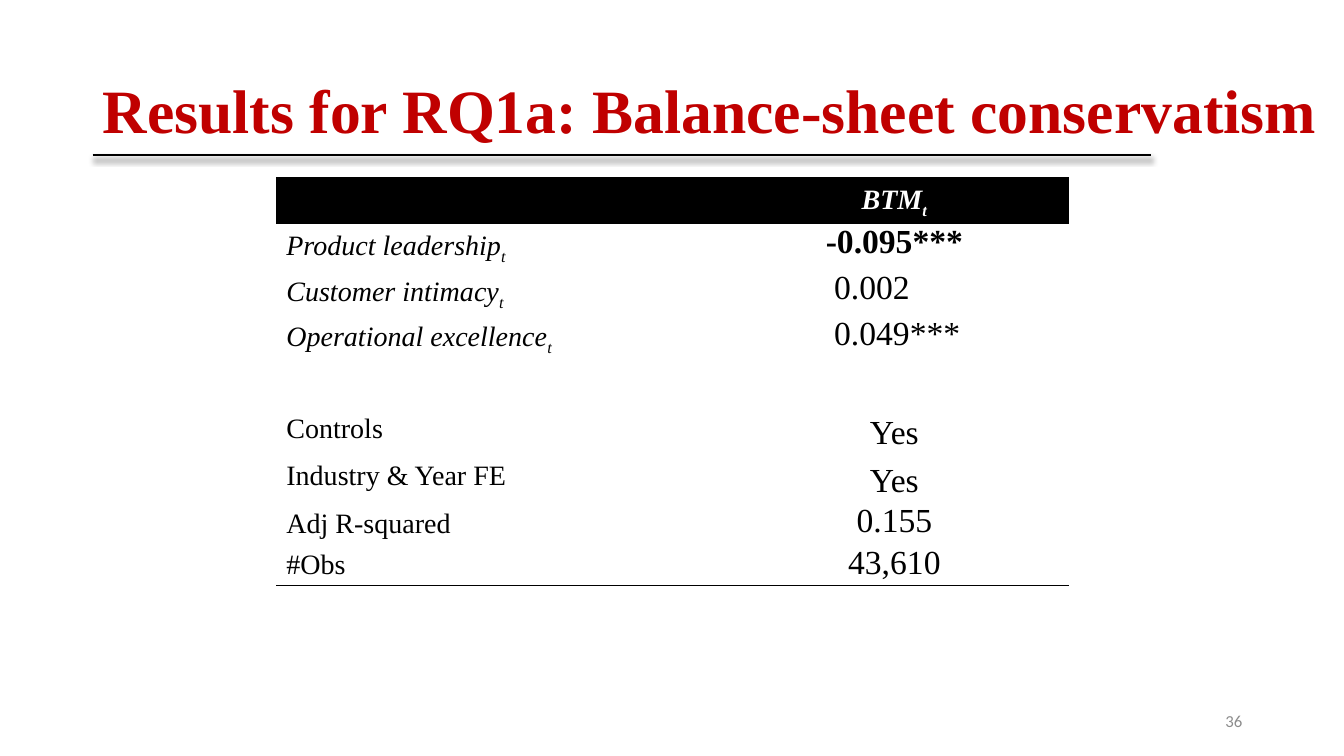
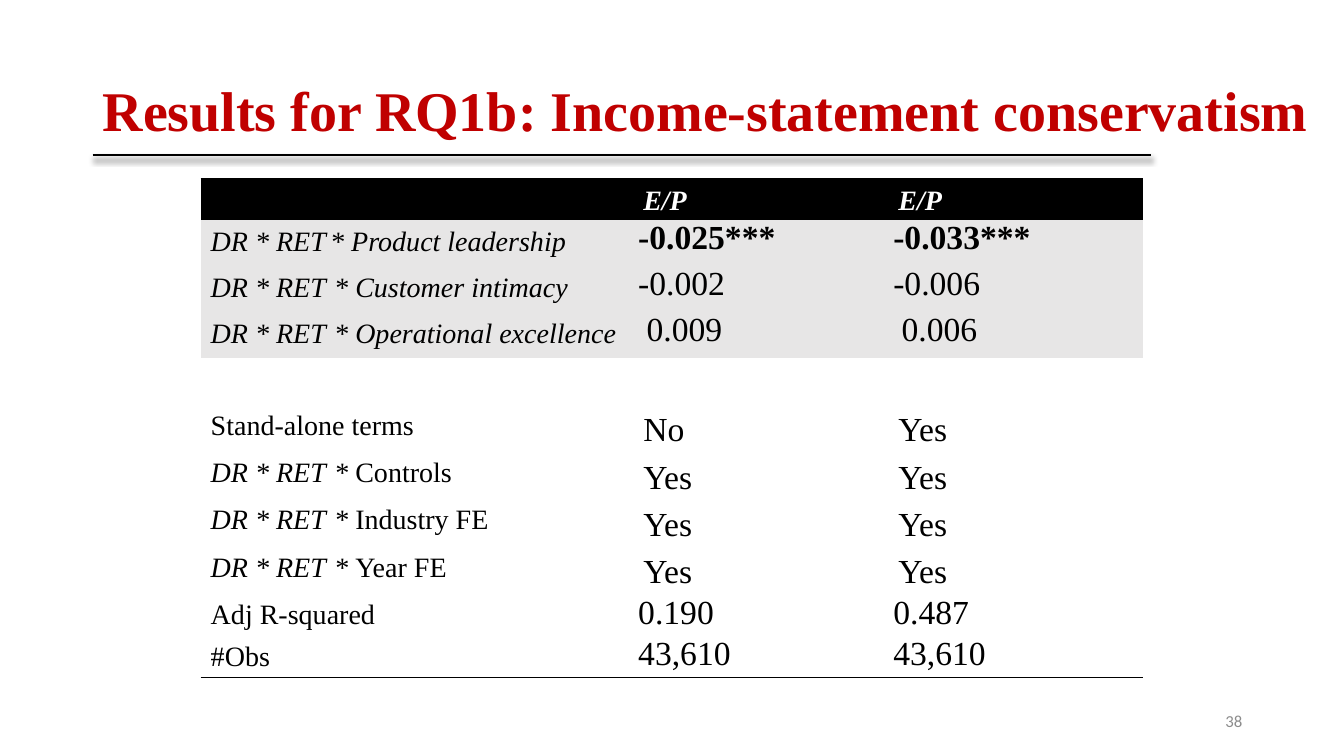
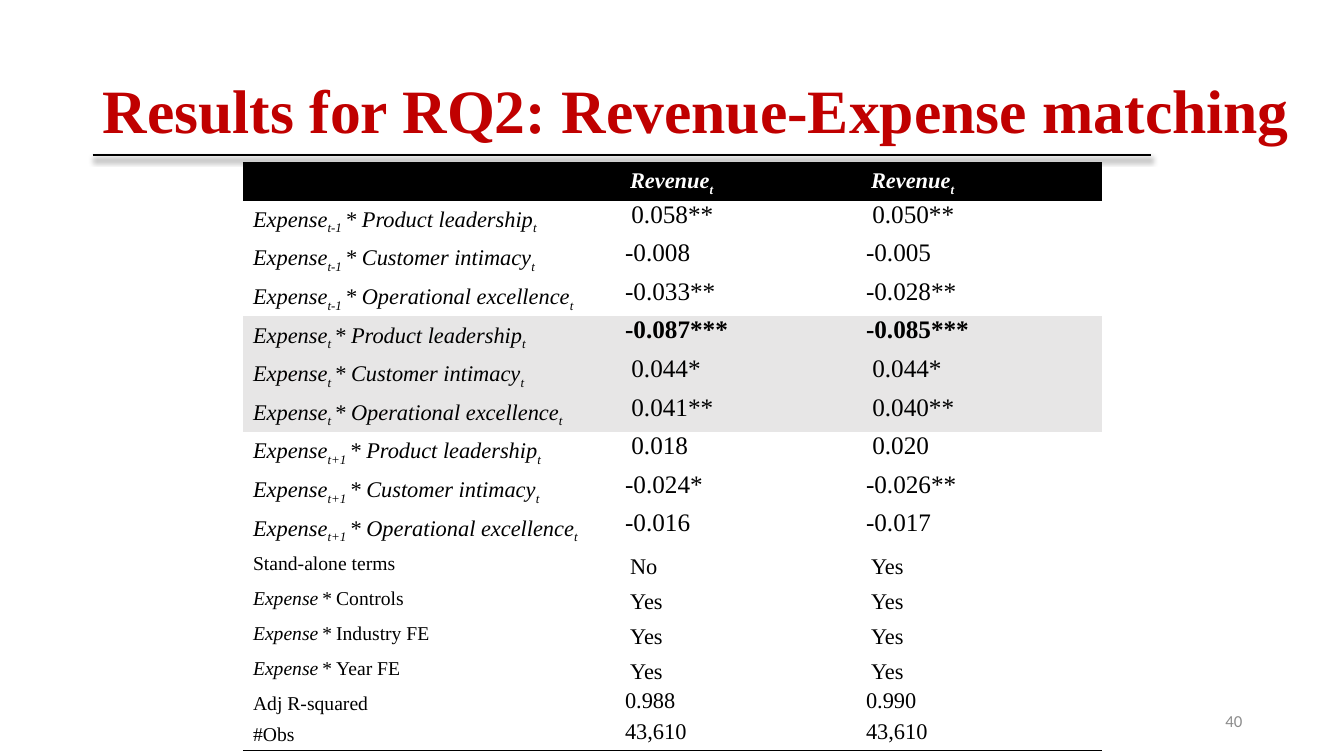
from itertools import product

from pptx import Presentation
from pptx.dml.color import RGBColor
from pptx.enum import shapes, text
from pptx.oxml import parse_xml
from pptx.oxml.ns import nsdecls, qn
from pptx.util import Inches, Pt

# ---- Shared look ----
COLORS = {"title": "C00000", "ink": "000000", "paper": "FFFFFF",
          "shade": "E7E6E6", "number": "8C8C8C"}
SERIF, SANS = "Times New Roman", "Calibri"
WIDTH, HEIGHT = 13.33, 7.5
MARGIN = 0.92
RULE_Y, RULE_END = 1.54, 11.42
CELL_BOTTOM = 0.02  # keeps every row at its set height
NO_TABLE_STYLE = "{2D5ABB26-0587-4C30-8999-92F81FD0307C}"
MIDDLE, TOP = text.MSO_ANCHOR.MIDDLE, text.MSO_ANCHOR.TOP
LEFT, CENTER, RIGHT = text.PP_ALIGN.LEFT, text.PP_ALIGN.CENTER, text.PP_ALIGN.RIGHT

# ---- Content: "_x_" is a subscript, text before "|" is italic ----
STRATEGIES = ["Product leadership", "Customer intimacy", "Operational excellence"]
EXPENSE_LABELS = [f"Expense_{period} _* {strategy}_t_"
                  for period, strategy in product(["t-1", "t", "t+1"], STRATEGIES)]
EXPENSE_VALUES = [(" 0.058**", " 0.050**"), ("-0.008", "-0.005"), ("-0.033**", "-0.028**"),
                  ("-0.087***", "-0.085***"), (" 0.044*", " 0.044*"), (" 0.041**", " 0.040**"),
                  (" 0.018", " 0.020"), ("-0.024*", "-0.026**"), ("-0.016", "-0.017")]

# Each group: kind, total height, label size, value size, rows
SLIDES = [
    {"title": "Results for RQ1a: Balance-sheet conservatism", "title_size": 44, "title_width": 12.26,
     "number": "36", "at": (2.74, 1.76), "columns": (4.4, 3.46), "shaded": (),
     "align": CENTER, "effect_indent": 1,
     "groups": [
         ("header", 0.46, 20, 20, [("", "BTM_t_")]),
         ("effect", 1.36, 20, 24, [("Product leadership_t_", "-0.095***"),
                                   ("Customer intimacy_t_", " 0.002"),
                                   ("Operational excellence_t_", " 0.049***")]),
         ("setting", 1.41, 20, 24, [("", ""), ("Controls", "Yes"), ("Industry & Year FE", "Yes")]),
         ("statistic", 0.82, 20, 24, [("Adj R-squared", "0.155"), ("#Obs", "43,610")])]},
    {"title": "Results for RQ1b: Income-statement conservatism", "title_size": 40, "title_width": 12.26,
     "number": "38", "at": (1.99, 1.77), "columns": (4.29, 2.53, 2.53), "shaded": range(1, 4),
     "align": LEFT, "effect_indent": 0,
     "groups": [
         ("header", 0.41, 20, 20, [("", "E/P", "E/P")]),
         ("effect", 1.37, 20, 24, [("DR * RET_ _* Product leadership", "-0.025***", "-0.033***"),
                                   ("DR * RET_  _* Customer intimacy", "-0.002", "-0.006"),
                                   ("DR * RET_  _* Operational excellence", " 0.009", " 0.006")]),
         ("setting", 2.33, 20, 24, [("", "", ""), ("Stand-alone terms", "No", "Yes"),
                                    ("DR * RET_  _* |Controls", "Yes", "Yes"),
                                    ("DR * RET_  _* |Industry FE", "Yes", "Yes"),
                                    ("DR * RET_  _* |Year FE", "Yes", "Yes")]),
         ("statistic", 0.82, 20, 24, [("Adj R-squared", "0.190", "0.487"),
                                      ("#Obs", "43,610", "43,610")])]},
    {"title": "Results for RQ2: Revenue-Expense matching", "title_size": 44, "title_width": 12.16,
     "number": "40", "at": (2.41, 1.61), "columns": (3.74, 2.39, 2.39), "shaded": range(4, 7),
     "align": LEFT, "effect_indent": 0,
     "groups": [
         ("header", 0.38, 16, 16, [("", "Revenue_t_", "Revenue_t_")]),
         ("effect", 3.45, 16, 18, [(label, *values) for label, values
                                   in zip(EXPENSE_LABELS, EXPENSE_VALUES)]),
         ("setting", 1.39, 14, 16, [("Stand-alone terms", "No", "Yes"),
                                    ("Expense_ _* |Controls", "Yes", "Yes"),
                                    ("Expense_ _* |Industry FE", "Yes", "Yes"),
                                    ("Expense_ _* |Year FE", "Yes", "Yes")]),
         ("statistic", 0.62, 14, 16, [("Adj R-squared", "0.988", "0.990"),
                                      ("#Obs", "43,610", "43,610")])]},
]


# ---- Text ----
def add_run(paragraph, words, size, color, font=SERIF, bold=False, italic=False):
    run = paragraph.add_run()
    run.text = words
    run.font.name, run.font.size = font, Pt(size)
    run.font.bold, run.font.italic = bold, italic
    run.font.color.rgb = RGBColor.from_string(COLORS[color])
    return run


def add_marked_text(paragraph, marked, size, color, bold, italic):
    """Write text, turning the parts between underscores into subscripts."""
    for position, words in enumerate(marked.split("_")):
        if words:
            run = add_run(paragraph, words, size, color, bold=bold, italic=italic)
            if position % 2:
                run._r.get_or_add_rPr().set("baseline", "-25000")


def add_text_box(slide, left, top, width, height, align):
    box = slide.shapes.add_textbox(Inches(left), Inches(top), Inches(width), Inches(height))
    box.text_frame.word_wrap = True
    box.text_frame.vertical_anchor = MIDDLE
    paragraph = box.text_frame.paragraphs[0]
    paragraph.alignment = align
    return paragraph


# ---- Title, rule and slide number ----
def add_frame(slide, content):
    rule = slide.shapes.add_connector(shapes.MSO_CONNECTOR.STRAIGHT, Inches(MARGIN),
                                      Inches(RULE_Y), Inches(RULE_END), Inches(RULE_Y))
    rule.line.width = Pt(1.5)
    rule.line.color.rgb = RGBColor.from_string(COLORS["ink"])
    rule._element.spPr.append(parse_xml(
        f'<a:effectLst {nsdecls("a")}><a:outerShdw blurRad="{Pt(4)}" dist="{Pt(3)}" dir="5400000" '
        f'rotWithShape="0"><a:srgbClr val="{COLORS["ink"]}"><a:alpha val="40000"/></a:srgbClr>'
        '</a:outerShdw></a:effectLst>'))

    title = add_text_box(slide, MARGIN, 0.4, content["title_width"], 1.45, LEFT)
    title.line_spacing = 0.9
    add_run(title, content["title"], content["title_size"], "title", bold=True)

    number = add_text_box(slide, 9.42, 6.95, 3, 0.4, RIGHT)
    add_run(number, content["number"], 12, "number", SANS)


# ---- Results table ----
def add_border(cell, side):
    properties = cell._tc.get_or_add_tcPr()
    line = parse_xml(f'<a:{side} {nsdecls("a")} w="{Pt(1)}"><a:solidFill>'
                     f'<a:srgbClr val="{COLORS["ink"]}"/></a:solidFill></a:{side}>')
    properties.insert(0, line)


def fill_cell(cell, words, kind, is_label, size, content):
    paragraph = cell.text_frame.paragraphs[0]
    header = kind == "header"
    tight = not is_label and kind in ("effect", "statistic")
    cell.margin_bottom = Inches(CELL_BOTTOM)
    if tight:
        cell.margin_left = cell.margin_right = Inches(0.05)
        cell.margin_top = cell.margin_bottom = 0
    label_at_top = is_label and kind in ("setting", "statistic")
    cell.vertical_anchor = TOP if tight or label_at_top else MIDDLE

    if not is_label:
        if kind == "effect":
            indent = Inches(content["effect_indent"])
            paragraph._p.get_or_add_pPr().set("marL", str(indent))
        else:
            paragraph.alignment = content["align"]

    if not words:
        paragraph.font.size = Pt(size)
        return
    strong_negative = words.startswith("-") and words.endswith("***")
    italic = header or (is_label and kind == "effect")
    lead, _, rest = words.rpartition("|")
    for part, slanted in ((lead, True), (rest, italic)):
        add_marked_text(paragraph, part, size, "paper" if header else "ink",
                        header or strong_negative, slanted)


def add_results_table(slide, content):
    rows = [(kind, total / len(group), label_size, value_size, row)
            for kind, total, label_size, value_size, group in content["groups"] for row in group]
    left, top = content["at"]
    columns = content["columns"]
    table = slide.shapes.add_table(
        len(rows), len(columns), Inches(left), Inches(top), Inches(sum(columns)),
        Inches(sum(row[1] for row in rows))).table
    table.first_row = table.horz_banding = False
    table._tbl.tblPr.find(qn("a:tableStyleId")).text = NO_TABLE_STYLE
    for column, width in zip(table.columns, columns):
        column.width = Inches(width)

    for index, (kind, height, label_size, value_size, row) in enumerate(rows):
        table.rows[index].height = Inches(height)
        background = ("ink" if kind == "header" else
                      "shade" if index in content["shaded"] else "paper")
        for position, words in enumerate(row):
            cell = table.cell(index, position)
            is_label = position == 0
            fill_cell(cell, words, kind, is_label, label_size if is_label else value_size, content)
            cell.fill.solid()
            cell.fill.fore_color.rgb = RGBColor.from_string(COLORS[background])
            if index == 0:
                add_border(cell, "lnT")
            if index == len(rows) - 1:
                add_border(cell, "lnB")


def main():
    presentation = Presentation()
    presentation.slide_width, presentation.slide_height = Inches(WIDTH), Inches(HEIGHT)
    for content in SLIDES:
        slide = presentation.slides.add_slide(presentation.slide_layouts[6])
        add_frame(slide, content)
        add_results_table(slide, content)
    presentation.save("out.pptx")


if __name__ == "__main__":
    main()
